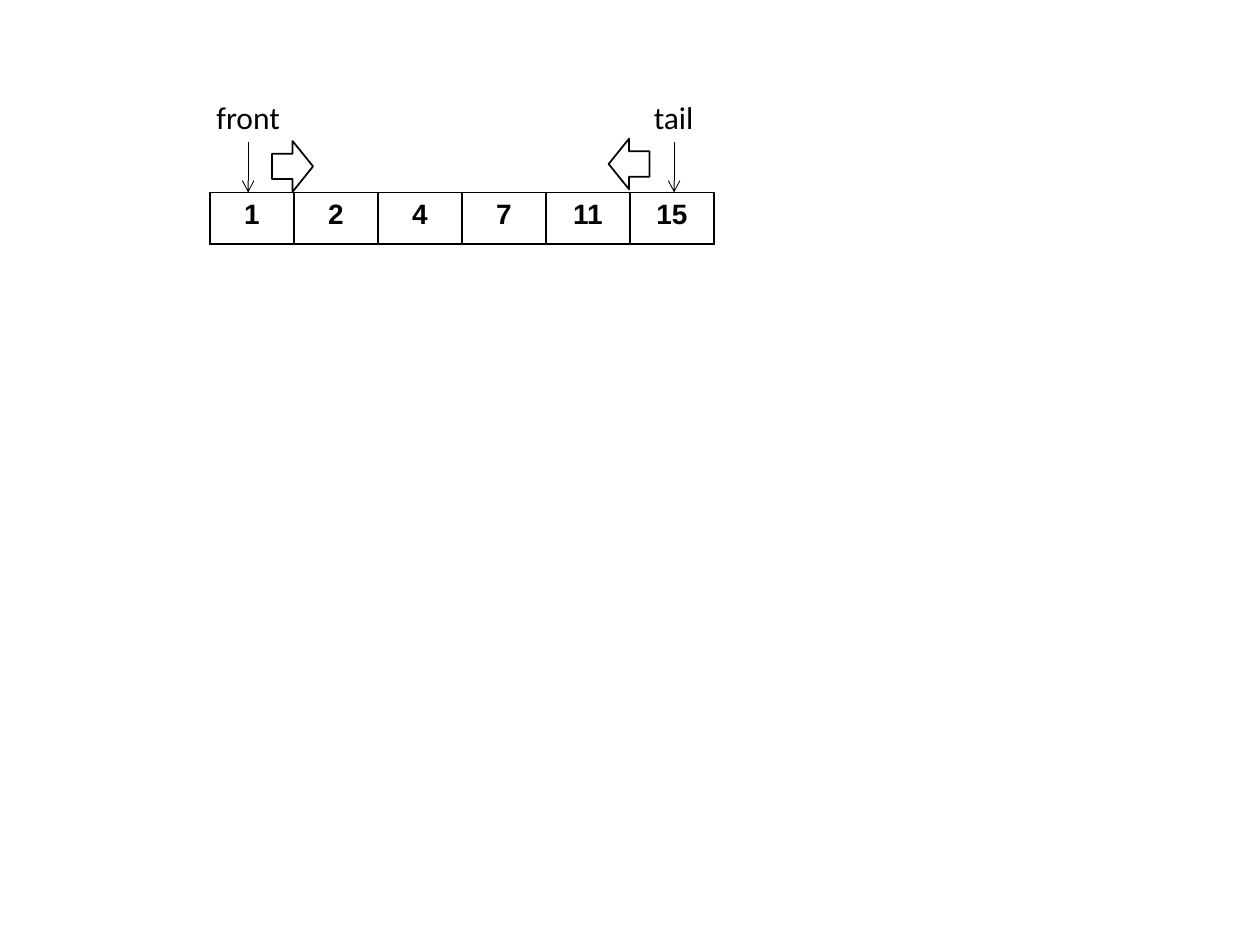
from lxml import etree
from pptx import Presentation
from pptx import util as u
from pptx.dml.color import RGBColor
from pptx.enum import shapes, text
from pptx.oxml.ns import qn

Pt = u.Pt

# Content: array values, then each pointer with its places in points
VALUES = ["1", "2", "4", "7", "11", "15"]
POINTERS = [
    {"label": "front", "label_x": 116.6, "label_w": 51.1, "x": 141.8,
     "step_x": 155.5, "step_y": 80.6, "turn": 0},
    {"label": "tail", "label_x": 366.5, "label_w": 37.4, "x": 385.2,
     "step_x": 347.8, "step_y": 79.2, "turn": 180},
]
COLORS = {"ink": "000000"}
INK = RGBColor.from_string(COLORS["ink"])

ARRAY_X, ARRAY_Y, CELL_W, CELL_H = 120, 110, 48, 29.4
LABEL_Y, LABEL_H = 52.6, 29.1
POINTER_Y = 81.4
STEP_W, STEP_H = 23.4, 29


def add_run(paragraph, words, font, size, bold=False):
    run = paragraph.add_run()
    run.text = words
    run.font.name = font
    run.font.size = Pt(size)
    run.font.bold = bold
    run.font.color.rgb = INK


def add_borders(cell):
    props = cell._tc.get_or_add_tcPr()
    for index, side in enumerate(("a:lnL", "a:lnR", "a:lnT", "a:lnB")):
        border = etree.Element(qn(side), w=str(Pt(1)))
        fill = etree.SubElement(border, qn("a:solidFill"))
        etree.SubElement(fill, qn("a:srgbClr"), val=COLORS["ink"])
        props.insert(index, border)


prs = Presentation()
prs.slide_width, prs.slide_height = Pt(720), Pt(540)
slide = prs.slides.add_slide(prs.slide_layouts[6])

# Array of sorted values
array = slide.shapes.add_table(
    1, len(VALUES), Pt(ARRAY_X), Pt(ARRAY_Y),
    Pt(CELL_W * len(VALUES)), Pt(CELL_H)).table
array.first_row = array.horz_banding = False
for column, value in enumerate(VALUES):
    array.columns[column].width = Pt(CELL_W)
    cell = array.cell(0, column)
    cell.fill.background()
    add_borders(cell)
    paragraph = cell.text_frame.paragraphs[0]
    paragraph.alignment = text.PP_ALIGN.CENTER
    add_run(paragraph, value, "Arial", 16, bold=True)

for pointer in POINTERS:
    # Thin arrow down to the array
    marker = slide.shapes.add_connector(
        shapes.MSO_CONNECTOR.STRAIGHT, Pt(pointer["x"]), Pt(POINTER_Y),
        Pt(pointer["x"]), Pt(ARRAY_Y))
    marker.line.color.rgb = INK
    marker.line.width = Pt(0.5)
    etree.SubElement(marker.line._get_or_add_ln(), qn("a:tailEnd"), type="arrow")
    etree.SubElement(marker._element.spPr, qn("a:effectLst"))

    # Pointer name
    label = slide.shapes.add_textbox(
        Pt(pointer["label_x"]), Pt(LABEL_Y), Pt(pointer["label_w"]), Pt(LABEL_H))
    label.text_frame.word_wrap = False
    label.text_frame.auto_size = text.MSO_AUTO_SIZE.SHAPE_TO_FIT_TEXT
    add_run(label.text_frame.paragraphs[0], pointer["label"], "Calibri", 18)

    # Block arrow showing the direction of movement
    step = slide.shapes.add_shape(
        shapes.MSO_SHAPE.RIGHT_ARROW, Pt(pointer["step_x"]), Pt(pointer["step_y"]),
        Pt(STEP_W), Pt(STEP_H))
    step.rotation = pointer["turn"]
    step.shadow.inherit = False
    step.fill.background()
    step.line.color.rgb = INK
    step.line.width = Pt(1)

prs.save("out.pptx")
